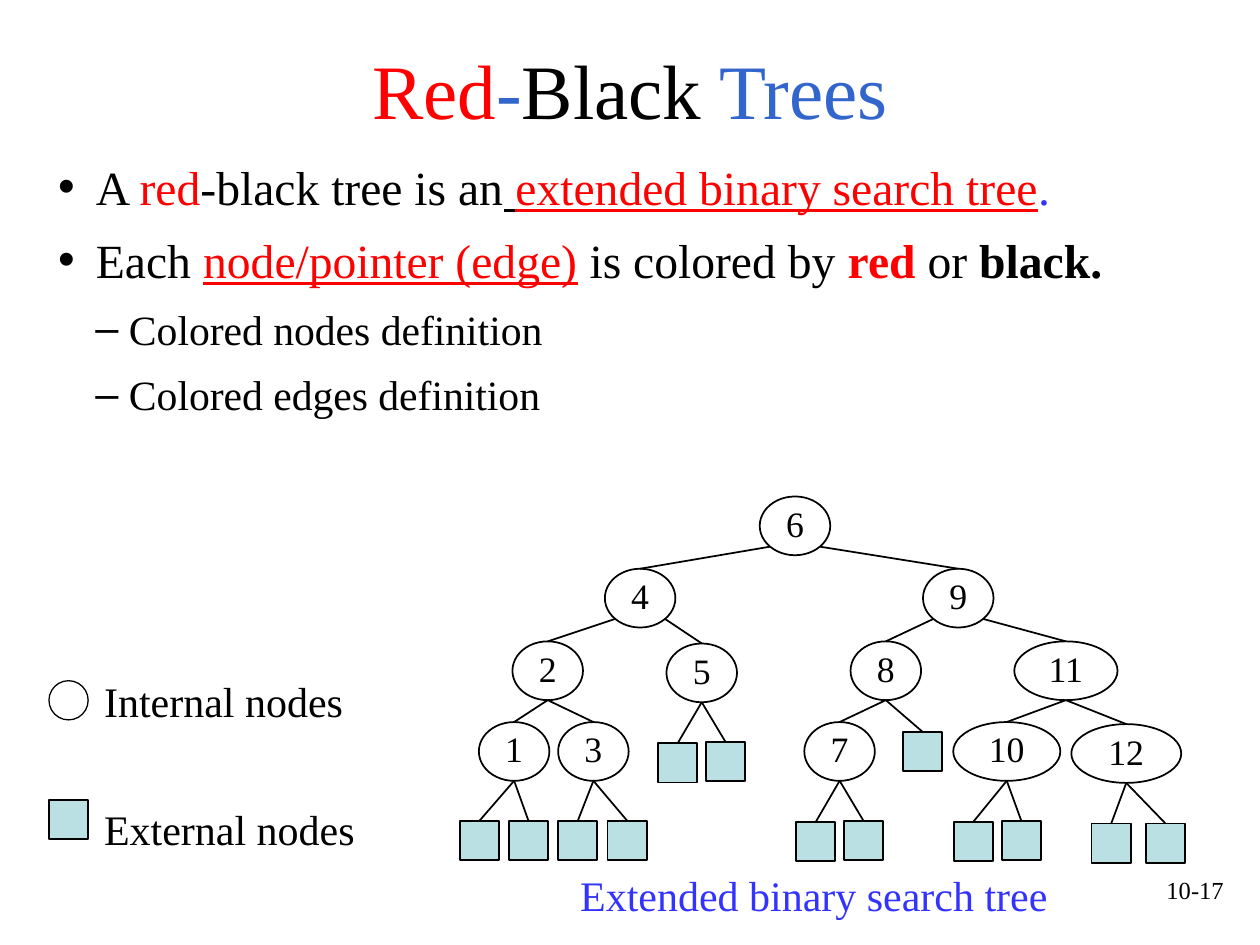
"""Build the red-black trees slide with its extended binary search tree."""
import math
from dataclasses import dataclass
from typing import NamedTuple, Optional, Union

import lxml.etree
import pptx
import pptx.dml.color
import pptx.enum.shapes
import pptx.enum.text
import pptx.oxml.ns
import pptx.util

Pt = pptx.util.Pt
MSO = pptx.enum.shapes.MSO_SHAPE
ALIGN = pptx.enum.text.PP_ALIGN
ANCHOR = pptx.enum.text.MSO_ANCHOR
FONT = "Times New Roman"
BLACK, RED, BLUE, TITLE_BLUE, TEAL = "000000", "FF0000", "3333FF", "3366CC", "BBE0E3"
NODE_HEIGHT = 33.6
LEAF_SIZE = 22.4


class Span(NamedTuple):
    text: str
    color: str = BLACK
    bold: bool = False
    underline: bool = False


class Bullet(NamedTuple):
    level: int
    spans: list[Span]


class Level(NamedTuple):
    size: float
    margin: float
    indent: float


@dataclass
class Leaf:
    x: float
    top: float


@dataclass
class Node:
    label: str
    x: float
    top: float
    left: Union["Node", Leaf]
    right: Union["Node", Leaf]
    width: float = 40.3
    spread: bool = False


TITLE = [Span("Red", RED), Span("-", TITLE_BLUE), Span("Black"), Span(" Trees", TITLE_BLUE)]
LEVELS = [Level(27.2, 21.6, -21.6), Level(23.8, 40.5, -19.2)]
BULLETS = [
    Bullet(0, [Span("A "), Span("red", RED), Span("-black tree is an"), Span(" ", underline=True),
               Span("extended binary search tree", RED, underline=True), Span(".", BLUE)]),
    Bullet(0, [Span("Each "), Span("node/pointer (edge)", RED, underline=True),
               Span(" is colored by "), Span("red", RED, bold=True), Span(" or "),
               Span("black.", bold=True)]),
    Bullet(1, [Span("Colored nodes definition")]),
    Bullet(1, [Span("Colored edges definition")]),
]
TREE = Node(
    "6", 454.3, 283.7, spread=True,
    left=Node(
        "4", 365.8, 325, spread=True,
        left=Node("2", 313, 366.5,
                  Node("1", 293.8, 412.6, Leaf(274, 469), Leaf(302, 469)),
                  Node("3", 339.1, 412.6, Leaf(330.2, 469), Leaf(358.4, 469))),
        right=Node("5", 401, 367.7, Leaf(387.2, 424.8), Leaf(414.6, 424)),
    ),
    right=Node(
        "9", 547.6, 325, spread=True,
        left=Node("8", 506.2, 366.5,
                  Node("7", 479.8, 412.6, Leaf(466.2, 469.6), Leaf(493.4, 469)),
                  Leaf(527.2, 418.2)),
        right=Node("11", 609.1, 366.5,
                   Node("10", 575.3, 412.6, Leaf(556.2, 469.6), Leaf(583.6, 469), width=61.2),
                   Node("12", 643.6, 413.8, Leaf(635, 470.6), Leaf(666, 470.6), width=62.8),
                   width=59),
    ),
)


def rgb(color: str) -> pptx.dml.color.RGBColor:
    """Turn a hex string into a colour."""
    return pptx.dml.color.RGBColor.from_string(color)


def place(sp, left: float, top: float, width: float, height: float) -> None:
    """Move and size a shape in points."""
    sp.left, sp.top, sp.width, sp.height = Pt(left), Pt(top), Pt(width), Pt(height)


def set_insets(tf, left: float, top: float, right: float, bottom: float) -> None:
    """Set the text margins in points."""
    tf.margin_left, tf.margin_top = Pt(left), Pt(top)
    tf.margin_right, tf.margin_bottom = Pt(right), Pt(bottom)


def write(p, spans: list[Span], size: float) -> None:
    """Fill a paragraph with coloured spans."""
    p.font.name, p.font.size = FONT, Pt(size)
    if len(spans) == 1:
        p.font.color.rgb = rgb(spans[0].color)
    for span in spans:
        r = p.add_run()
        r.text = span.text
        if len(spans) > 1:
            r.font.color.rgb = rgb(span.color)
        if span.bold:
            r.font.bold = True
        if span.underline:
            r.font.underline = True


def add_title(s) -> None:
    """Fill the title placeholder."""
    sp = s.shapes.title
    place(sp, 36, 21.6, 648, 55.4)
    tf = sp.text_frame
    tf.auto_size = pptx.enum.text.MSO_AUTO_SIZE.NONE
    tf.vertical_anchor = ANCHOR.BOTTOM
    set_insets(tf, 0, 3.6, 0, 0)
    tf.paragraphs[0].alignment = ALIGN.CENTER
    write(tf.paragraphs[0], TITLE, 44)


def add_bullets(s) -> None:
    """Fill the body placeholder with the two-level list."""
    sp = s.placeholders[1]
    place(sp, 26, 83.5, 648, 193)
    tf = sp.text_frame
    tf.auto_size = pptx.enum.text.MSO_AUTO_SIZE.NONE
    set_insets(tf, 7.2, 6.5, 7.2, 3.6)
    for i, bullet in enumerate(BULLETS):
        p = tf.add_paragraph() if i else tf.paragraphs[0]
        level = LEVELS[bullet.level]
        p.level = bullet.level
        p.space_before = Pt(9 if i else 0)
        ppr = p._p.get_or_add_pPr()
        ppr.set("marL", str(Pt(level.margin)))
        ppr.set("indent", str(Pt(level.indent)))
        write(p, bullet.spans, level.size)


def add_outline(s, kind, x: float, top: float, width: float, height: float,
                fill: Optional[str] = None, weight: float = 1):
    """Add a black-outlined shape centred on x."""
    sp = s.shapes.add_shape(kind, Pt(x - width / 2), Pt(top), Pt(width), Pt(height))
    sp.shadow.inherit = False
    if fill:
        sp.fill.solid()
        sp.fill.fore_color.rgb = rgb(fill)
    else:
        sp.fill.background()
    sp.line.color.rgb = rgb(BLACK)
    sp.line.width = Pt(weight)
    return sp


def add_edge(s, x1: float, y1: float, x2: float, y2: float) -> None:
    """Add a straight black edge."""
    line = s.shapes.add_connector(pptx.enum.shapes.MSO_CONNECTOR.STRAIGHT,
                                  Pt(x1), Pt(y1), Pt(x2), Pt(y2))
    line.line.color.rgb = rgb(BLACK)
    line.line.width = Pt(1)
    lxml.etree.SubElement(line._element.spPr, pptx.oxml.ns.qn("a:effectLst"))


def add_tree(s, node: Union[Node, Leaf]) -> None:
    """Draw a node, its edges and its subtrees."""
    if isinstance(node, Leaf):
        add_outline(s, MSO.RECTANGLE, node.x, node.top, LEAF_SIZE, LEAF_SIZE, TEAL)
        return
    sp = add_outline(s, MSO.OVAL, node.x, node.top, node.width, NODE_HEIGHT)
    tf = sp.text_frame
    tf.word_wrap = False
    tf.vertical_anchor = ANCHOR.MIDDLE
    p = tf.paragraphs[0]
    p.alignment, p.line_spacing = ALIGN.CENTER, 0.9
    write(p, [Span(node.label)], 20.4)
    diagonal = math.sqrt(0.5)
    dx = node.width / 2 * diagonal if node.spread else 0
    y = node.top + NODE_HEIGHT / 2 * (1 + (diagonal if node.spread else 1))
    for child, side in ((node.left, -1), (node.right, 1)):
        add_edge(s, node.x + side * dx, y, child.x, child.top)
        add_tree(s, child)


def add_label(s, text: str, left: float, top: float, width: float, height: float = 36,
              size: float = 24, color: str = BLACK, align=ALIGN.LEFT) -> None:
    """Add a one-line text box."""
    tf = s.shapes.add_textbox(Pt(left), Pt(top), Pt(width), Pt(height)).text_frame
    tf.word_wrap = True
    tf.paragraphs[0].alignment = align
    write(tf.paragraphs[0], [Span(text, color)], size)


def main() -> None:
    """Build and save the slide."""
    prs = pptx.Presentation()
    prs.slide_width, prs.slide_height = Pt(720), Pt(540)
    s = prs.slides.add_slide(prs.slide_layouts[1])
    add_title(s)
    add_bullets(s)
    add_tree(s, TREE)
    add_label(s, "Extended binary search tree", 313.2, 493.2, 303.8, color=BLUE, align=ALIGN.CENTER)
    add_outline(s, MSO.OVAL, 39.2, 389, LEAF_SIZE, LEAF_SIZE, weight=0.75)
    add_outline(s, MSO.RECTANGLE, 39.2, 457.2, LEAF_SIZE, LEAF_SIZE, TEAL)
    for text, top in (("Internal nodes", 382.3), ("External nodes", 455.6)):
        add_label(s, text, 52.4, top, 165.6)
    add_label(s, "10-17", 538.6, 496.2, 167.8, 37.4, size=14, align=ALIGN.RIGHT)
    prs.save("out.pptx")


if __name__ == "__main__":
    main()
